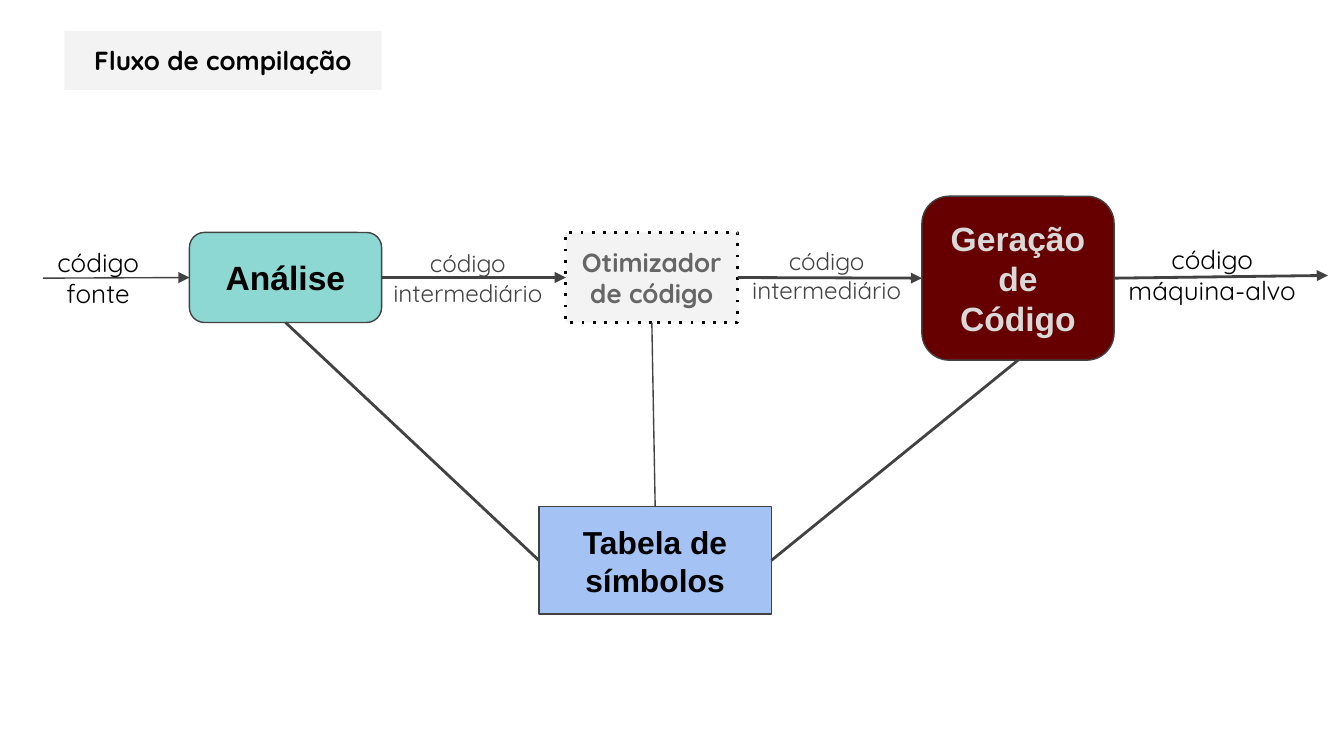
from dataclasses import dataclass

from lxml import etree
from pptx import Presentation
from pptx import util as u
from pptx.dml import color
from pptx.enum import dml, shapes, text
from pptx.oxml import ns

TOP, LEFT, BOTTOM, RIGHT = range(4)


@dataclass(frozen=True)
class Theme:
    """Colours, fonts and type sizes of the slide."""
    black: str = "000000"
    line: str = "424242"
    muted: str = "434343"
    grey: str = "666666"
    pale: str = "F3F3F3"
    silver: str = "D9D9D9"
    teal: str = "8DD8D3"
    maroon: str = "660000"
    blue: str = "A4C2F4"
    stage_font: str = "Arial"
    label_font: str = "Quicksand"
    stage: int = 18
    table: int = 17
    label: int = 14
    small: int = 13
    thin: float = 0.75
    thick: float = 1.5


T = Theme()


def rgb(value):
    """Turn a hex string into a colour."""
    return color.RGBColor.from_string(value)


def write(s, lines, size=T.label, font=T.label_font, ink=T.black, bold=False,
          anchor=text.MSO_ANCHOR.TOP, fit=False):
    """Write centred lines, one paragraph each, into a shape."""
    tf = s.text_frame
    tf.word_wrap = True
    tf.vertical_anchor = anchor
    tf.auto_size = text.MSO_AUTO_SIZE.SHAPE_TO_FIT_TEXT if fit else text.MSO_AUTO_SIZE.NONE
    tf.margin_left = tf.margin_right = tf.margin_top = tf.margin_bottom = u.Inches(0.1)
    for i, line in enumerate(lines):
        p = tf.add_paragraph() if i else tf.paragraphs[0]
        p.alignment = text.PP_ALIGN.CENTER
        r = p.add_run()
        r.text = line
        r.font.size, r.font.name, r.font.bold = u.Pt(size), font, bold
        r.font.color.rgb = rgb(ink)


def add_box(slide, kind, at, lines, fill, border=None, width=T.thin, dotted=False, **fmt):
    """Add a filled shape with bold text and an optional border."""
    s = slide.shapes.add_shape(kind, *map(u.Inches, at))
    s.shadow.inherit = False
    s.fill.solid()
    s.fill.fore_color.rgb = rgb(fill)
    if border:
        s.line.color.rgb = rgb(border)
        s.line.width = u.Pt(width)
    else:
        s.line.fill.background()
    if dotted:
        s.line.dash_style = dml.MSO_LINE.ROUND_DOT
        s._element.spPr.find(".//" + ns.qn("a:prstDash")).set("val", "dot")
    write(s, lines, bold=True, **fmt)
    return s


def add_label(slide, at, lines, **fmt):
    """Add a plain text label."""
    write(slide.shapes.add_textbox(*map(u.Inches, at)), lines, fit=True, **fmt)


def add_link(slide, start, end, width=T.thick, arrow=False):
    """Join two ends, each a (shape, site) pair or an (x, y) point."""
    points = [(0, 0) if hasattr(a, "shape_type") else (a, b) for a, b in (start, end)]
    s = slide.shapes.add_connector(shapes.MSO_CONNECTOR.STRAIGHT,
                                   *[u.Inches(v) for point in points for v in point])
    for (a, site), join in ((start, s.begin_connect), (end, s.end_connect)):
        if hasattr(a, "shape_type"):
            join(a, site)
    s.line.color.rgb = rgb(T.line)
    s.line.width = u.Pt(width)
    spPr = s._element.spPr
    if arrow:
        etree.SubElement(spPr.find(ns.qn("a:ln")), ns.qn("a:tailEnd"), type="triangle")
    etree.SubElement(spPr, ns.qn("a:effectLst"))


def main():
    """Build the compilation flow slide."""
    prs = Presentation()
    prs.slide_width, prs.slide_height = u.Inches(10), u.Inches(10 * 9 / 16)
    slide = prs.slides.add_slide(prs.slide_layouts[6])
    kinds = shapes.MSO_SHAPE
    stage = dict(border=T.line, font=T.stage_font, anchor=text.MSO_ANCHOR.MIDDLE)

    add_box(slide, kinds.RECTANGLE, (0.48, 0.23, 2.36, 0.44),
            ["Fluxo de compilação"], T.pale, fit=True)
    analysis = add_box(slide, kinds.ROUNDED_RECTANGLE, (1.41, 1.73, 1.43, 0.67),
                       ["Análise"], T.teal, size=T.stage, **stage)
    optimizer = add_box(slide, kinds.RECTANGLE, (4.21, 1.73, 1.28, 0.67),
                        ["Otimizador", "de código"], T.pale, border=T.black,
                        width=T.thick, dotted=True, ink=T.grey, fit=True)
    generator = add_box(slide, kinds.ROUNDED_RECTANGLE, (6.86, 1.46, 1.43, 1.22),
                        ["Geração de", "Código"], T.maroon, size=T.stage,
                        ink=T.silver, **stage)
    symbols = add_box(slide, kinds.FLOWCHART_PROCESS, (4.01, 3.77, 1.73, 0.8),
                      ["Tabela de símbolos"], T.blue, size=T.table, **stage)

    add_link(slide, (0.32, 2.07), (analysis, LEFT), width=T.thin, arrow=True)
    add_link(slide, (analysis, RIGHT), (optimizer, LEFT), arrow=True)
    add_link(slide, (optimizer, RIGHT), (generator, LEFT), arrow=True)
    add_link(slide, (generator, RIGHT), (9.88, 2.05), arrow=True)
    add_link(slide, (analysis, BOTTOM), (symbols, LEFT))
    add_link(slide, (symbols, RIGHT), (generator, BOTTOM))
    add_link(slide, (optimizer, BOTTOM), (symbols, TOP), width=T.thin)

    add_label(slide, (0.32, 1.73, 0.82, 0.67), ["código", "fonte"])
    add_label(slide, (8.24, 1.71, 1.56, 0.67), ["código", "máquina-alvo"])
    for x, y in ((2.7, 1.75), (5.37, 1.73)):
        add_label(slide, (x, y, 1.56, 0.64), ["código", "intermediário"],
                  size=T.small, ink=T.muted)

    prs.save("out.pptx")


if __name__ == "__main__":
    main()
